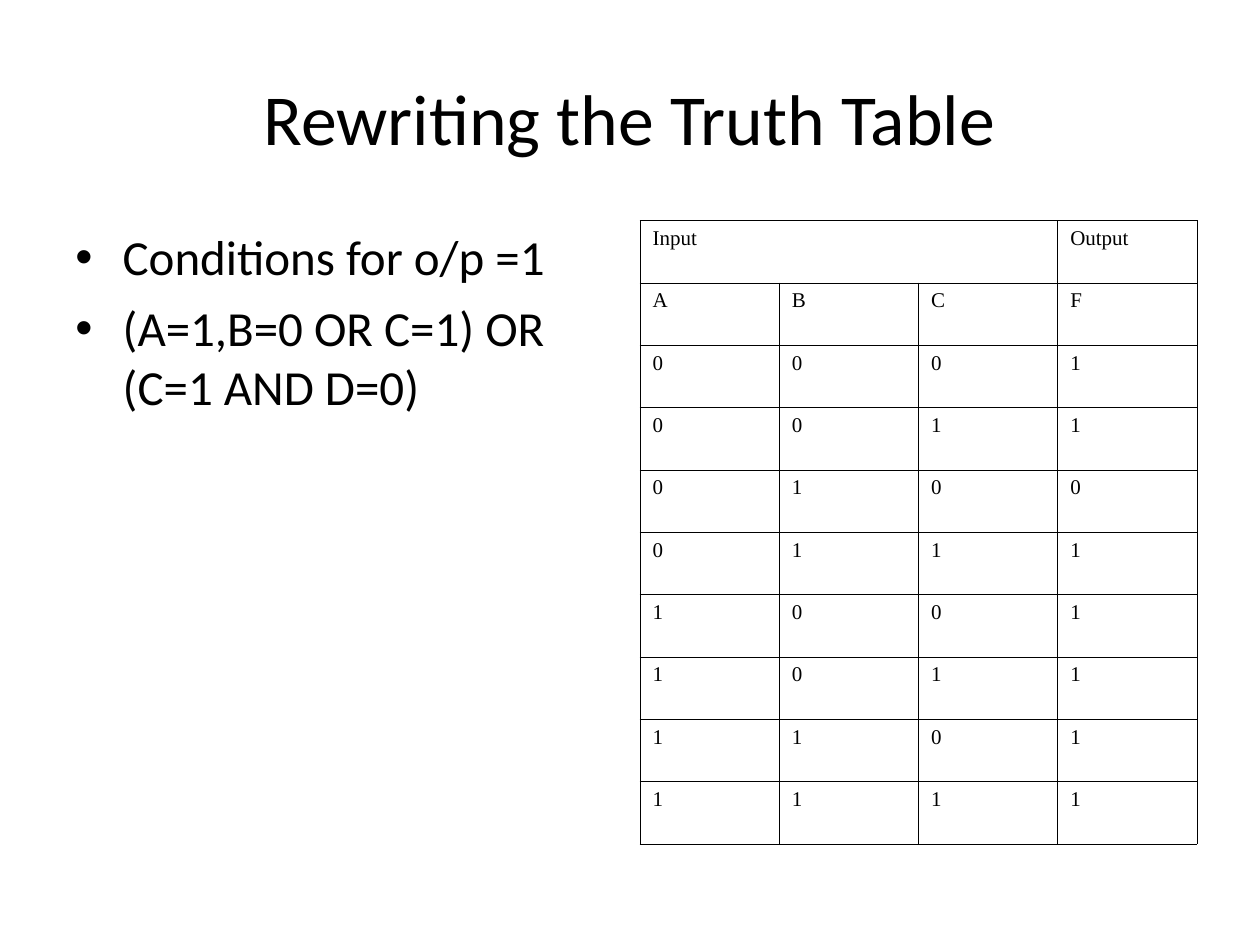
from lxml.etree import SubElement
from pptx import Presentation
from pptx.dml.color import RGBColor
from pptx.enum.text import MSO_ANCHOR, PP_ALIGN
from pptx.oxml.ns import qn
from pptx.util import Pt

TITLE = "Rewriting the Truth Table"
CONDITIONS = ["Conditions for o/p =1", "(A=1,B=0 OR C=1) OR (C=1 AND D=0)"]
TRUTH_TABLE = [
    ("Input", "", "", "Output"),
    ("A", "B", "C", "F"),
    ("0", "0", "0", "1"),
    ("0", "0", "1", "1"),
    ("0", "1", "0", "0"),
    ("0", "1", "1", "1"),
    ("1", "0", "0", "1"),
    ("1", "0", "1", "1"),
    ("1", "1", "0", "1"),
    ("1", "1", "1", "1"),
]
INPUT_COUNT = 3

BLACK = RGBColor(0, 0, 0)
MARGIN = 36
SLIDE_WIDTH, SLIDE_HEIGHT = 720, 540
TITLE_TOP, TITLE_HEIGHT = 21.6, 90
BODY_TOP, BODY_HEIGHT, BODY_WIDTH = 126, 356.4, 318.24
BULLET_INDENT = 27
BORDER_WIDTH = 0.45


def format_text(paragraph, font_name, size, alignment):
    paragraph.alignment = alignment
    paragraph.font.name = font_name
    paragraph.font.size = Pt(size)
    paragraph.font.color.rgb = BLACK


def add_bullet(paragraph):
    properties = paragraph._p.get_or_add_pPr()
    properties.set("marL", str(Pt(BULLET_INDENT)))
    properties.set("indent", str(-Pt(BULLET_INDENT)))
    SubElement(properties, qn("a:buFont"), typeface="Arial")
    SubElement(properties, qn("a:buChar"), char="•")


def set_borders(cell):
    properties = cell._tc.get_or_add_tcPr()
    for position, side in enumerate(("a:lnL", "a:lnR", "a:lnT", "a:lnB")):
        line = SubElement(properties, qn(side), w=str(Pt(BORDER_WIDTH)))
        fill = SubElement(line, qn("a:solidFill"))
        SubElement(fill, qn("a:srgbClr"), val=str(BLACK))
        properties.insert(position, line)


def add_title(slide):
    title = slide.shapes.title
    title.left, title.top = Pt(MARGIN), Pt(TITLE_TOP)
    title.width, title.height = Pt(SLIDE_WIDTH - 2 * MARGIN), Pt(TITLE_HEIGHT)
    title.text_frame.text = TITLE
    title.text_frame.vertical_anchor = MSO_ANCHOR.MIDDLE
    format_text(title.text_frame.paragraphs[0], "Calibri", 41, PP_ALIGN.CENTER)


def add_conditions(slide):
    box = slide.shapes.add_textbox(Pt(MARGIN), Pt(BODY_TOP), Pt(BODY_WIDTH), Pt(BODY_HEIGHT))
    frame = box.text_frame
    frame.word_wrap = True
    frame.text = "\n".join(CONDITIONS)
    for index, paragraph in enumerate(frame.paragraphs):
        add_bullet(paragraph)
        format_text(paragraph, "Calibri", 28, PP_ALIGN.LEFT)
        paragraph.space_before = Pt(7 if index else 0)


def add_truth_table(slide):
    row_count, column_count = len(TRUTH_TABLE), len(TRUTH_TABLE[0])
    left = SLIDE_WIDTH - MARGIN - BODY_WIDTH
    table = slide.shapes.add_table(
        row_count, column_count, Pt(left), Pt(BODY_TOP), Pt(BODY_WIDTH), Pt(BODY_HEIGHT)
    ).table
    table.first_row = table.horz_banding = False
    for column in table.columns:
        column.width = Pt(BODY_WIDTH / column_count)
    for row, values in zip(table.rows, TRUTH_TABLE):
        row.height = Pt(BODY_HEIGHT / row_count)
        for cell, value in zip(row.cells, values):
            cell.text = value
            cell.fill.background()
            set_borders(cell)
            format_text(cell.text_frame.paragraphs[0], "Times New Roman", 12, PP_ALIGN.JUSTIFY)
    table.cell(0, 0).merge(table.cell(0, INPUT_COUNT - 1))


def main():
    deck = Presentation()
    deck.slide_width, deck.slide_height = Pt(SLIDE_WIDTH), Pt(SLIDE_HEIGHT)
    slide = deck.slides.add_slide(deck.slide_layouts.get_by_name("Title Only"))
    add_title(slide)
    add_conditions(slide)
    add_truth_table(slide)
    deck.save("out.pptx")


if __name__ == "__main__":
    main()
